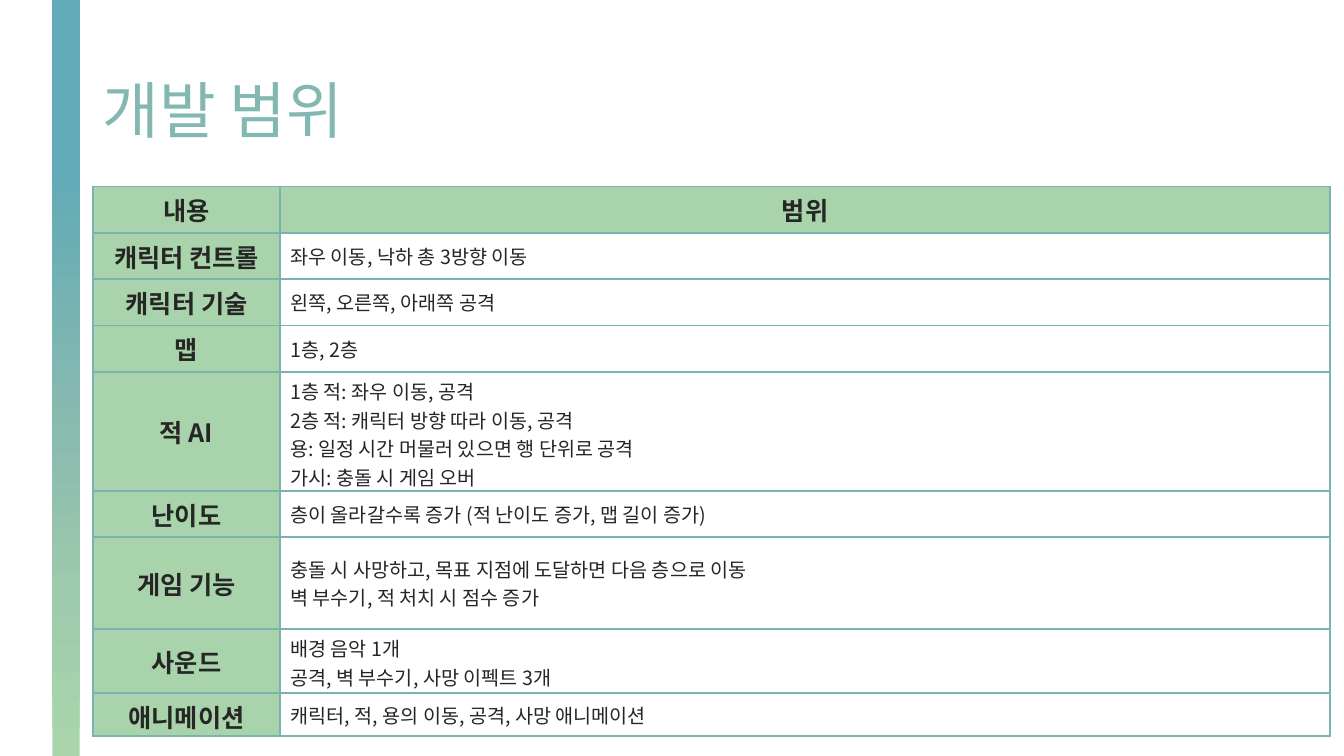
from lxml.etree import SubElement
from pptx import Presentation
from pptx.dml.color import RGBColor as Color
from pptx.enum.shapes import MSO_SHAPE as Shape
from pptx.enum.text import MSO_ANCHOR as Anchor, PP_ALIGN as Align
from pptx.oxml import parse_xml
from pptx.oxml.ns import nsdecls, qn
from pptx.util import Inches, Pt

COLORS = {"title": "82B8B1", "text": "262626", "label": "A9D4AB", "border": "79B4B2"}
BAR_STOPS = [(0, "AAD5AB"), (22, "9DCAAC"), (42, "8ABBAF"), (78, "61AAB7"), (100, "60A9B6")]
SCOPE_ROWS = [
    (0.46, "내용", "범위"),
    (0.46, "캐릭터 컨트롤", "좌우 이동, 낙하 총 3방향 이동"),
    (0.46, "캐릭터 기술", "왼쪽, 오른쪽, 아래쪽 공격"),
    (0.46, "맵", "1층, 2층"),
    (1.18, "적 AI", "1층 적: 좌우 이동, 공격\n2층 적: 캐릭터 방향 따라 이동, 공격\n"
                   "용: 일정 시간 머물러 있으면 행 단위로 공격\n가시: 충돌 시 게임 오버"),
    (0.46, "난이도", "층이 올라갈수록 증가 (적 난이도 증가, 맵 길이 증가)"),
    (0.91, "게임 기능", "충돌 시 사망하고, 목표 지점에 도달하면 다음 층으로 이동\n"
                      "벽 부수기, 적 처치 시 점수 증가"),
    (0.64, "사운드", "배경 음악 1개\n공격, 벽 부수기, 사망 이펙트 3개"),
    (0.42, "애니메이션", "캐릭터, 적, 용의 이동, 공격, 사망 애니메이션"),
]


class SlideBuilder:
    font = "Noto Sans CJK KR"

    def __init__(self, slide):
        self.slide = slide

    def set_text(self, frame, text, size, color, bold=False, align=Align.LEFT, spacing=None):
        frame.text = text
        for para in frame.paragraphs:
            para.alignment = align
            para.line_spacing = spacing
            for span in para.runs:
                span.font.size = Pt(size)
                span.font.bold = bold
                span.font.name = self.font
                span.font.color.rgb = Color.from_string(COLORS[color])
                SubElement(span._r.get_or_add_rPr(), qn("a:ea"), typeface=self.font)

    def title(self, text, left, top, width, height):
        box = self.slide.shapes.add_textbox(*map(Inches, (left, top, width, height)))
        box.text_frame.word_wrap = True
        box.text_frame.vertical_anchor = Anchor.MIDDLE
        self.set_text(box.text_frame, text, 44, "title", spacing=0.9)

    def gradient_bar(self, left, top, width, height, stops):
        bar = self.slide.shapes.add_shape(Shape.RECTANGLE, *map(Inches, (left, top, width, height)))
        bar.shadow.inherit = False
        bar.line.fill.background()
        bar.fill.gradient()
        bar.fill.gradient_angle = 90
        stop_list = bar._element.spPr.find(qn("a:gradFill")).find(qn("a:gsLst"))
        for stop in list(stop_list):
            stop_list.remove(stop)
        for position, color in stops:
            stop = SubElement(stop_list, qn("a:gs"), pos=str(position * 1000))
            SubElement(stop, qn("a:srgbClr"), val=color)

    def borders(self, cell):
        properties = cell._tc.get_or_add_tcPr()
        for index, side in enumerate(("lnL", "lnR", "lnT", "lnB")):
            properties.insert(index, parse_xml(
                f'<a:{side} {nsdecls("a")} w="{Pt(1.5)}"><a:solidFill>'
                f'<a:srgbClr val="{COLORS["border"]}"/></a:solidFill></a:{side}>'))

    def table(self, left, top, widths, rows):
        height = sum(row[0] for row in rows)
        frame = self.slide.shapes.add_table(
            len(rows), len(widths), *map(Inches, (left, top, sum(widths), height)))
        table = frame.table
        table.first_row = table.horz_banding = False
        for column, width in zip(table.columns, widths):
            column.width = Inches(width)
        for row_index, (row_height, *texts) in enumerate(rows):
            table.rows[row_index].height = Inches(row_height)
            for column_index, text in enumerate(texts):
                cell = table.cell(row_index, column_index)
                cell.vertical_anchor = Anchor.MIDDLE
                if row_index == 0 or column_index == 0:
                    cell.fill.solid()
                    cell.fill.fore_color.rgb = Color.from_string(COLORS["label"])
                    self.set_text(cell.text_frame, text, 18, "text", True, Align.CENTER)
                else:
                    cell.fill.background()
                    self.set_text(cell.text_frame, text, 14, "text")
                self.borders(cell)


def main():
    deck = Presentation()
    deck.slide_width, deck.slide_height = Inches(13.33), Inches(7.5)
    page = SlideBuilder(deck.slides.add_slide(deck.slide_layouts[6]))
    page.title("개발 범위", 0.92, 0.4, 11.5, 1.45)
    page.gradient_bar(0.52, 0, 0.27, 7.5, BAR_STOPS)
    page.table(0.92, 1.85, (1.86, 10.41), SCOPE_ROWS)
    deck.save("out.pptx")


if __name__ == "__main__":
    main()
